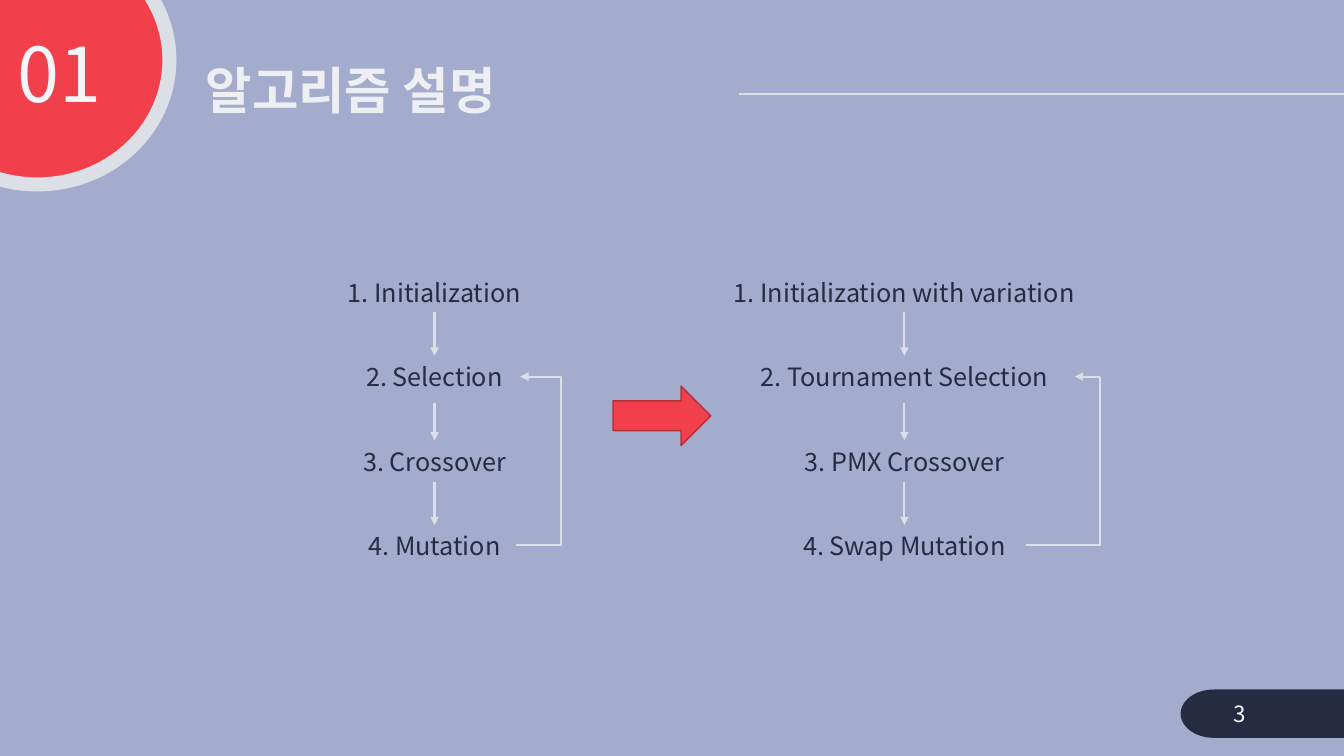
from lxml.etree import SubElement
from pptx import Presentation
from pptx.dml.color import RGBColor
from pptx.enum.shapes import MSO_CONNECTOR, MSO_SHAPE
from pptx.enum.text import MSO_ANCHOR, MSO_AUTO_SIZE, PP_ALIGN
from pptx.oxml.ns import qn
from pptx.util import Inches, Pt

FONT = "Noto Sans CJK KR"
BACKGROUND, NAVY, RED, DARK_RED = "A4ACCD", "252C41", "F1404B", "B22F37"
PALE_LINE, PALE_TITLE, PALE_TEXT = "DDDFE6", "EEEFF3", "F4F5F9"

TITLE, SECTION, PAGE = "알고리즘 설명", "01", "3"
# Each flow: centre x, far x of the return loop, steps as (text, box width)
FLOWS = [
    (4.31, 5.57, [("1. Initialization", 1.97), ("2. Selection", 1.7),
                  ("3. Crossover", 1.85), ("4. Mutation", 1.61)]),
    (8.97, 10.91, [("1. Initialization with variation", 3.83),
                   ("2. Tournament Selection", 3.38),
                   ("3. PMX Crossover", 2.45), ("4. Swap Mutation", 2.42)]),
]
STEP_TOP, STEP_PITCH, STEP_HEIGHT = 2.7, 0.837, 0.4
ARROW_SPANS = [(3.1, 3.53), (4.0, 4.37), (4.78, 5.21)]


def color(hex_string):
    return RGBColor.from_string(hex_string)


def place(shape, left, top, width, height):
    shape.left, shape.top = Inches(left), Inches(top)
    shape.width, shape.height = Inches(width), Inches(height)


def write(shape, text, size, hex_color, align=PP_ALIGN.LEFT,
          anchor=MSO_ANCHOR.TOP, bold=False, wrap=True):
    frame = shape.text_frame
    frame.text = text
    frame.word_wrap = wrap
    frame.auto_size = MSO_AUTO_SIZE.NONE if wrap else MSO_AUTO_SIZE.SHAPE_TO_FIT_TEXT
    frame.vertical_anchor = anchor
    paragraph = frame.paragraphs[0]
    paragraph.alignment = align
    font = paragraph.runs[0].font
    font.name, font.size, font.bold = FONT, Pt(size), bold
    font.color.rgb = color(hex_color)
    SubElement(font._element, qn("a:ea"), typeface=FONT)
    return paragraph


def add_shape(kind, box, fill, line=None, line_width=1):
    shape = slide.shapes.add_shape(kind, *map(Inches, box))
    shape.shadow.inherit = False
    shape.fill.solid()
    shape.fill.fore_color.rgb = color(fill)
    if line:
        shape.line.color.rgb = color(line)
        shape.line.width = Pt(line_width)
    else:
        shape.line.fill.background()


def add_line(start, end, kind=MSO_CONNECTOR.STRAIGHT, arrow=True):
    connector = slide.shapes.add_connector(kind, *map(Inches, (*start, *end)))
    connector.line.color.rgb = color(PALE_LINE)
    connector.line.width = Pt(1.5)
    if arrow:
        SubElement(connector.line._get_or_add_ln(), qn("a:tailEnd"), type="triangle")
    SubElement(connector._element.spPr, qn("a:effectLst"))
    return connector


def add_return_loop(start, end, far_x):
    """Elbow arrow that swings out to far_x before coming back to end."""
    connector = add_line(start, end, MSO_CONNECTOR.ELBOW)
    bend = round((far_x - start[0]) / (end[0] - start[0]) * 100000)
    geometry = connector._element.spPr.find(qn("a:prstGeom"))
    adjustments = geometry.find(qn("a:avLst"))
    SubElement(adjustments, qn("a:gd"), name="adj1", fmla=f"val {bend}")


def add_flow(center, far_x, steps):
    for index, (text, width) in enumerate(steps):
        top = STEP_TOP + index * STEP_PITCH
        box = (center - width / 2, top, width, STEP_HEIGHT)
        label = slide.shapes.add_textbox(*map(Inches, box))
        write(label, text, 18, NAVY, PP_ALIGN.CENTER, wrap=False)
    for top, bottom in ARROW_SPANS:
        add_line((center, top), (center, bottom))
    selection_y, mutation_y = (
        STEP_TOP + index * STEP_PITCH + STEP_HEIGHT / 2 for index in (1, 3))
    add_return_loop((center + steps[3][1] / 2, mutation_y),
                    (center + steps[1][1] / 2, selection_y), far_x)


presentation = Presentation()
presentation.slide_width, presentation.slide_height = Inches(13.33), Inches(7.5)
slide = presentation.slides.add_slide(
    presentation.slide_layouts.get_by_name("Section Header"))
slide.background.fill.solid()
slide.background.fill.fore_color.rgb = color(BACKGROUND)
title, section = slide.placeholders[0], slide.placeholders[1]

add_line((7.33, 0.93), (13.33, 0.93), arrow=False)
add_shape(MSO_SHAPE.OVAL, (-0.94, -0.64, 2.62, 2.47), RED, PALE_LINE, 10)
add_shape(MSO_SHAPE.FLOWCHART_TERMINATOR, (11.71, 6.84, 2.05, 0.48), NAVY)

# Placeholders go in front of the decoration
for placeholder in (title, section):
    slide.shapes._spTree.append(placeholder._element)
place(title, 1.94, 0.59, 5.39, 0.67)
write(title, TITLE, 36, PALE_TITLE, anchor=MSO_ANCHOR.MIDDLE,
      bold=True).line_spacing = 0.9
place(section, -0.11, 0.32, 1.22, 0.92)
number = write(section, SECTION, 54, PALE_TEXT, PP_ALIGN.RIGHT)
number.line_spacing, number.space_before = 0.9, Pt(10)

page = slide.shapes.add_textbox(*map(Inches, (12.14, 6.88, 1.09, 0.4)))
write(page, PAGE, 16, PALE_TEXT, anchor=MSO_ANCHOR.MIDDLE)

for flow in FLOWS:
    add_flow(*flow)
add_shape(MSO_SHAPE.RIGHT_ARROW, (6.08, 3.83, 0.97, 0.59), RED, DARK_RED)

presentation.save("out.pptx")
